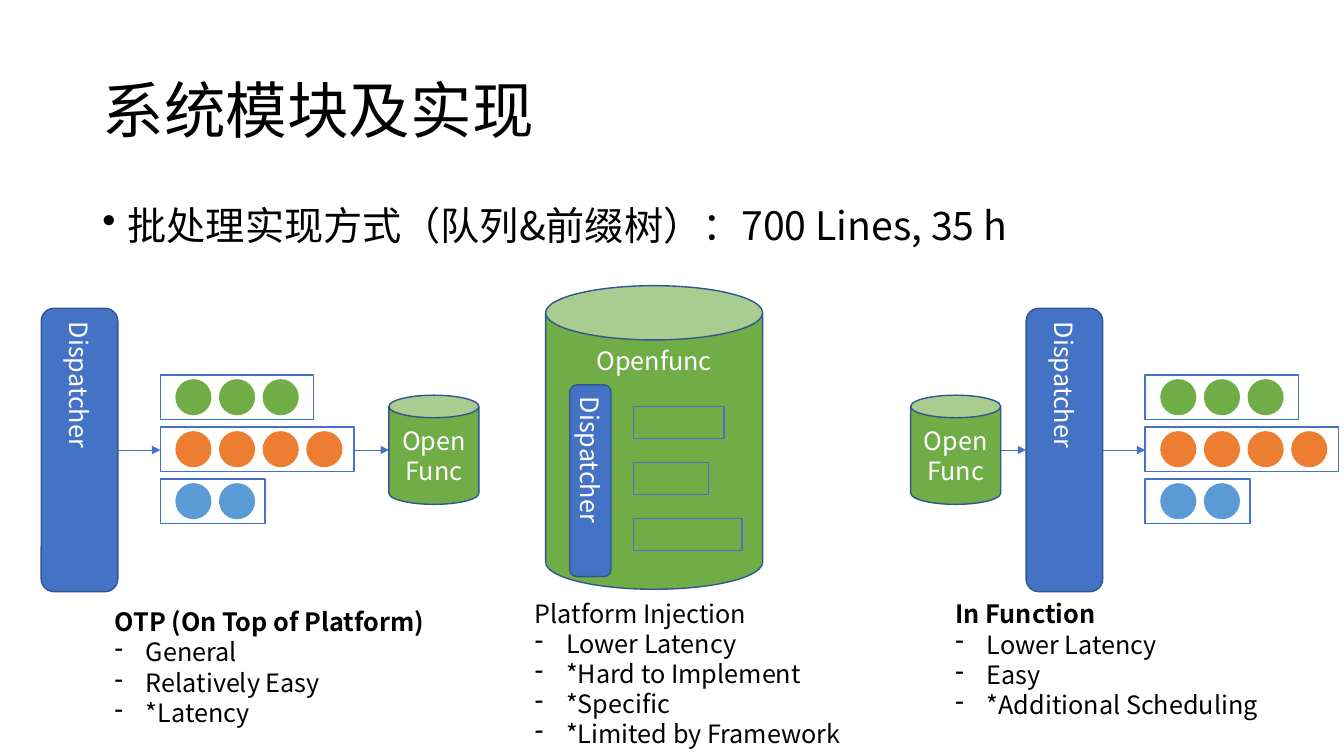
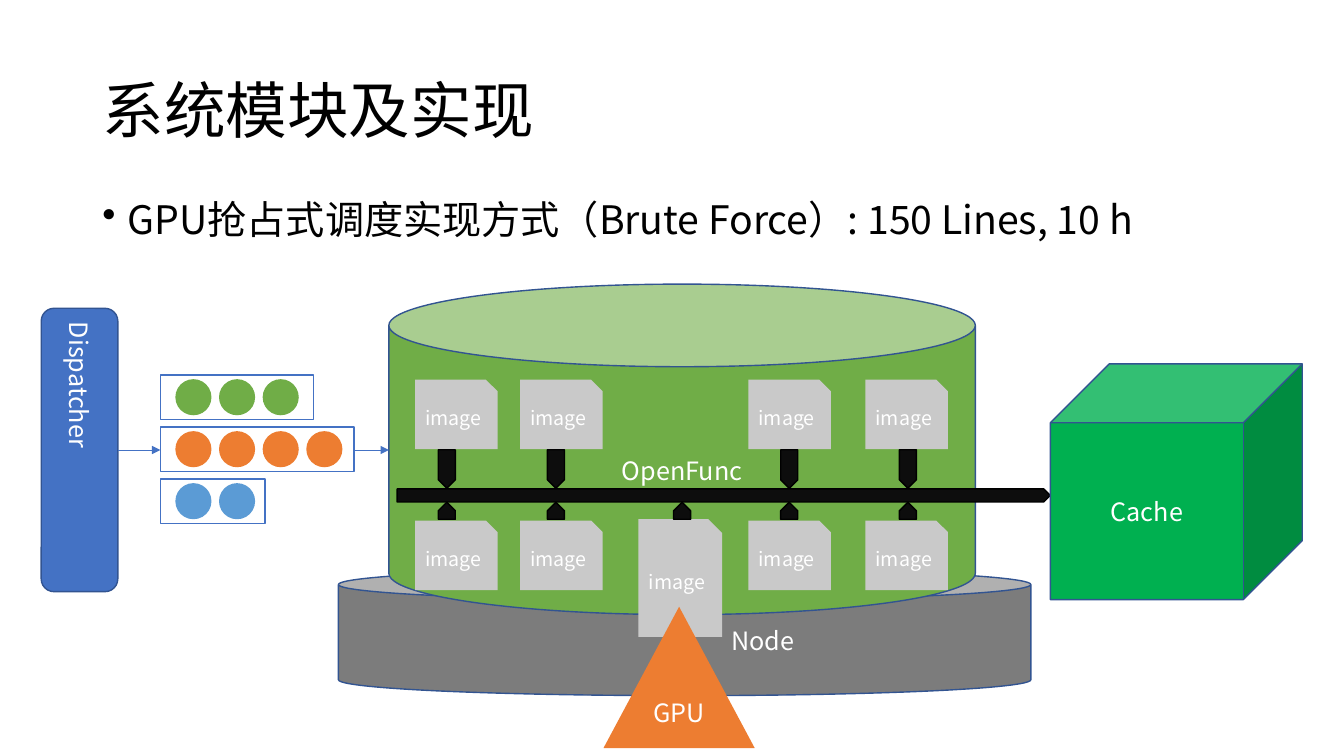
from pptx import Presentation
from pptx.dml.color import RGBColor
from pptx.enum.shapes import MSO_CONNECTOR, MSO_SHAPE
from pptx.enum.text import MSO_ANCHOR, PP_ALIGN
from pptx.oxml.ns import qn
from pptx.util import Cm, Pt
from lxml import etree

CAN, CUBE, OVAL = MSO_SHAPE.CAN, MSO_SHAPE.CUBE, MSO_SHAPE.OVAL
RECT, ROUNDED = MSO_SHAPE.RECTANGLE, MSO_SHAPE.ROUNDED_RECTANGLE
DOCUMENT, PENTAGON = MSO_SHAPE.SNIP_1_RECTANGLE, MSO_SHAPE.PENTAGON
TRIANGLE = MSO_SHAPE.ISOSCELES_TRIANGLE
STRAIGHT = MSO_CONNECTOR.STRAIGHT
TOP, MIDDLE = MSO_ANCHOR.TOP, MSO_ANCHOR.MIDDLE
LEFT, CENTER = PP_ALIGN.LEFT, PP_ALIGN.CENTER

FONT = "Noto Sans CJK SC"
BLACK, WHITE = "000000", "FFFFFF"
BLUE, EDGE, SKY = "4472C4", "325491", "5B9BD5"
GREEN, ORANGE, CACHE_GREEN = "70AD47", "ED7D31", "00B050"
GREY, LIGHT_GREY, NEAR_BLACK = "7C7C7C", "C9C9C9", "0D0D0D"

TITLE = "系统模块及实现"
TITLE_BOX = (2.33, 1.02, 29.21, 3.68)
PLATFORM = "OpenFunc"
QUEUES = [(3.86, GREEN, 3), (4.88, ORANGE, 4), (2.64, SKY, 2)]
QUEUE_HEIGHT, QUEUE_PITCH = 1.12, 1.31
REQUEST_SIZE, REQUEST_PITCH = 0.91, 1.1
DISPATCHER_SIZE = (1.93, 7.14)
FLOW_ORIGIN = (1.04, 7.77)


def rgb(hex_colour):
    return RGBColor.from_string(hex_colour)


def cm(*lengths):
    return [Cm(length) for length in lengths]


def apply(target, formats):
    for name, value in formats.items():
        setattr(target, name, value)


def write(paragraph, text, size, colour=WHITE, bold=False, **formats):
    paragraph.text = text
    apply(paragraph, formats)
    for run in paragraph.runs:
        apply(run.font, {"name": FONT, "size": Pt(size), "bold": bold})
        run.font.color.rgb = rgb(colour)
        latin = run.font._element.find(qn("a:latin"))
        east_asian = etree.Element(qn("a:ea"), typeface=FONT)
        latin.addnext(east_asian)


def add_bullet(paragraph, mark, indent):
    properties = paragraph._p.get_or_add_pPr()
    properties.set("marL", str(Cm(indent)))
    properties.set("indent", str(-Cm(indent)))
    etree.SubElement(properties, qn("a:buChar"), char=mark)


def add_figure(slide, preset, box, fill=None, line=None, text="", size=18,
               anchor=MIDDLE):
    figure = slide.shapes.add_shape(preset, *cm(*box))
    figure.shadow.inherit = False
    if fill:
        figure.fill.solid()
        figure.fill.fore_color.rgb = rgb(fill)
    else:
        figure.fill.background()
    if line:
        figure.line.color.rgb = rgb(line)
        figure.line.width = Pt(1)
    else:
        figure.line.fill.background()
    if text:
        frame = figure.text_frame
        apply(frame, {"word_wrap": True, "vertical_anchor": anchor})
        write(frame.paragraphs[0], text, size, alignment=CENTER)
    return figure


def add_arrow(slide, start_x, end_x, y):
    arrow = slide.shapes.add_connector(STRAIGHT, *cm(start_x, y, end_x, y))
    arrow.line.color.rgb = rgb(BLUE)
    arrow.line.width = Pt(0.5)
    etree.SubElement(arrow.line._get_or_add_ln(), qn("a:tailEnd"),
                     type="triangle")
    etree.SubElement(arrow._element.spPr, qn("a:effectLst"))


def add_text_frame(slide, box):
    frame = slide.shapes.add_textbox(*cm(*box)).text_frame
    frame.word_wrap = True
    return frame


def start_slide(deck, topic, topic_top):
    """Add a slide with the shared title and one bulleted topic line."""
    slide = deck.slides.add_slide(deck.slide_layouts[5])
    title = slide.shapes.title
    apply(title, dict(zip(("left", "top", "width", "height"), cm(*TITLE_BOX))))
    title.text_frame.vertical_anchor = MIDDLE
    write(title.text_frame.paragraphs[0], TITLE, 44, BLACK,
          alignment=LEFT, line_spacing=0.9)
    topic_box = (TITLE_BOX[0], topic_top, TITLE_BOX[2], 1.6)
    paragraph = add_text_frame(slide, topic_box).paragraphs[0]
    write(paragraph, topic, 28, BLACK, line_spacing=0.9, space_before=Pt(10))
    add_bullet(paragraph, "•", 0.64)
    return slide


def add_dispatcher(slide, box):
    dispatcher = add_figure(slide, ROUNDED, box, BLUE, EDGE, "Dispatcher")
    dispatcher.text_frame._txBody.bodyPr.set("vert", "eaVert")


def add_queues(slide, left, top):
    for row, (width, colour, requests) in enumerate(QUEUES):
        queue_top = top + row * QUEUE_PITCH
        request_top = queue_top + (QUEUE_HEIGHT - REQUEST_SIZE) / 2
        for place in range(requests):
            request_left = left + 0.38 + place * REQUEST_PITCH
            add_figure(slide, OVAL, (request_left, request_top,
                                     REQUEST_SIZE, REQUEST_SIZE), colour)
        add_figure(slide, RECT, (left, queue_top, width, QUEUE_HEIGHT),
                   line=BLUE)


def add_dispatch_flow(slide, left, top):
    """Draw a dispatcher feeding its queues; return the arrow's height."""
    width, height = DISPATCHER_SIZE
    axis = top + height / 2
    queue_left = left + width + 1.07
    add_dispatcher(slide, (left, top, width, height))
    add_queues(slide, queue_left, top + 1.68)
    add_arrow(slide, left + width, queue_left, axis)
    return axis


def add_flow_to_platform(slide, left, top):
    axis = add_dispatch_flow(slide, left, top)
    add_arrow(slide, left + 7.88, left + 8.76, axis)


def add_small_platform(slide, left, top):
    add_figure(slide, CAN, (left, top, 2.27, 2.75), GREEN, EDGE, "Open\vFunc")


def add_injected_platform(slide, left, top):
    add_figure(slide, CAN, (left, top, 5.47, 7.65), GREEN, EDGE, "Openfunc",
               anchor=TOP)
    add_dispatcher(slide, (left + 0.61, top + 2.5, 1.04, 4.83))
    for row, width in enumerate((2.29, 1.9, 2.74)):
        queue_top = top + 3.05 + row * 1.41
        add_figure(slide, RECT, (left + 2.21, queue_top, width, 0.8),
                   line=BLUE)


def add_caption(slide, left, top, heading, traits, bold):
    frame = add_text_frame(slide, (left, top, 8.38, 0.9 + 0.8 * len(traits)))
    write(frame.paragraphs[0], heading, 18, BLACK, bold)
    for trait in traits:
        paragraph = frame.add_paragraph()
        write(paragraph, trait, 18, BLACK)
        add_bullet(paragraph, "-", 0.79)


def add_bus_arrow(slide, center_x, center_y, length, rotation):
    thickness = 0.43
    arrow = add_figure(slide, PENTAGON,
                       (center_x - length / 2, center_y - thickness / 2,
                        length, thickness), NEAR_BLACK, BLACK)
    arrow.rotation = rotation


def add_container(slide, left, top, width=2.08, height=1.75):
    add_figure(slide, DOCUMENT, (left, top, width, height), LIGHT_GREY,
               text="image", size=14)


def add_image_bus(slide, left, top):
    """Draw the containers above and below the bus that starts at left, top."""
    for container_offset, arrow_offset in ((0.45, 1.25), (3.1, 4),
                                           (8.85, 9.88), (11.8, 12.87)):
        for container_top in (-2.75, 0.8):
            add_container(slide, left + container_offset, top + container_top)
        add_bus_arrow(slide, left + arrow_offset, top - 0.5, 0.97, 90)
        add_bus_arrow(slide, left + arrow_offset, top + 0.55, 0.43, 270)
    add_figure(slide, PENTAGON, (left, top, 16.46, 0.33), NEAR_BLACK, BLACK)
    add_container(slide, left + 6.08, top + 0.76, 2.11, 2.97)
    add_bus_arrow(slide, left + 7.18, top + 0.55, 0.43, 270)


def build_batching_slide(deck):
    slide = start_slide(deck, "批处理实现方式（队列&前缀树）：700 Lines, 35 h", 5.08)
    add_flow_to_platform(slide, *FLOW_ORIGIN)
    add_small_platform(slide, 9.8, 9.96)
    add_injected_platform(slide, 13.75, 7.2)
    add_small_platform(slide, 22.95, 9.96)
    axis = add_dispatch_flow(slide, 25.86, FLOW_ORIGIN[1])
    add_arrow(slide, 25.22, 25.86, axis)
    add_caption(slide, 2.64, 15.16, "OTP (On Top of Platform)",
                ["General", "Relatively Easy", "*Latency"], True)
    add_caption(slide, 13.23, 14.94, "Platform Injection",
                ["Lower Latency", "*Hard to Implement", "*Specific",
                 "*Limited by Framework"], False)
    add_caption(slide, 23.83, 14.96, "In Function",
                ["Lower Latency", "Easy", "*Additional Scheduling"], True)


def build_preemption_slide(deck):
    slide = start_slide(
        deck, "GPU抢占式调度实现方式（Brute Force）: 150 Lines, 10 h", 4.93)
    cluster = add_figure(slide, CAN, (8.53, 14.33, 17.45, 3.2), GREY, EDGE,
                         "Node")
    cluster.text_frame.margin_left = Cm(4.2)
    add_figure(slide, CAN, (9.8, 7.16, 14.78, 8.33), GREEN, EDGE, PLATFORM)
    add_flow_to_platform(slide, *FLOW_ORIGIN)
    add_image_bus(slide, 10.01, 12.32)
    add_figure(slide, CUBE, (26.47, 9.17, 6.35, 5.94), CACHE_GREEN, EDGE,
               "Cache")
    add_figure(slide, TRIANGLE, (15.21, 15.29, 3.81, 3.56), ORANGE, text="GPU")


def main():
    deck = Presentation()
    apply(deck, {"slide_width": Cm(33.87), "slide_height": Cm(19.05)})
    build_batching_slide(deck)
    build_preemption_slide(deck)
    deck.save("out.pptx")


if __name__ == "__main__":
    main()
